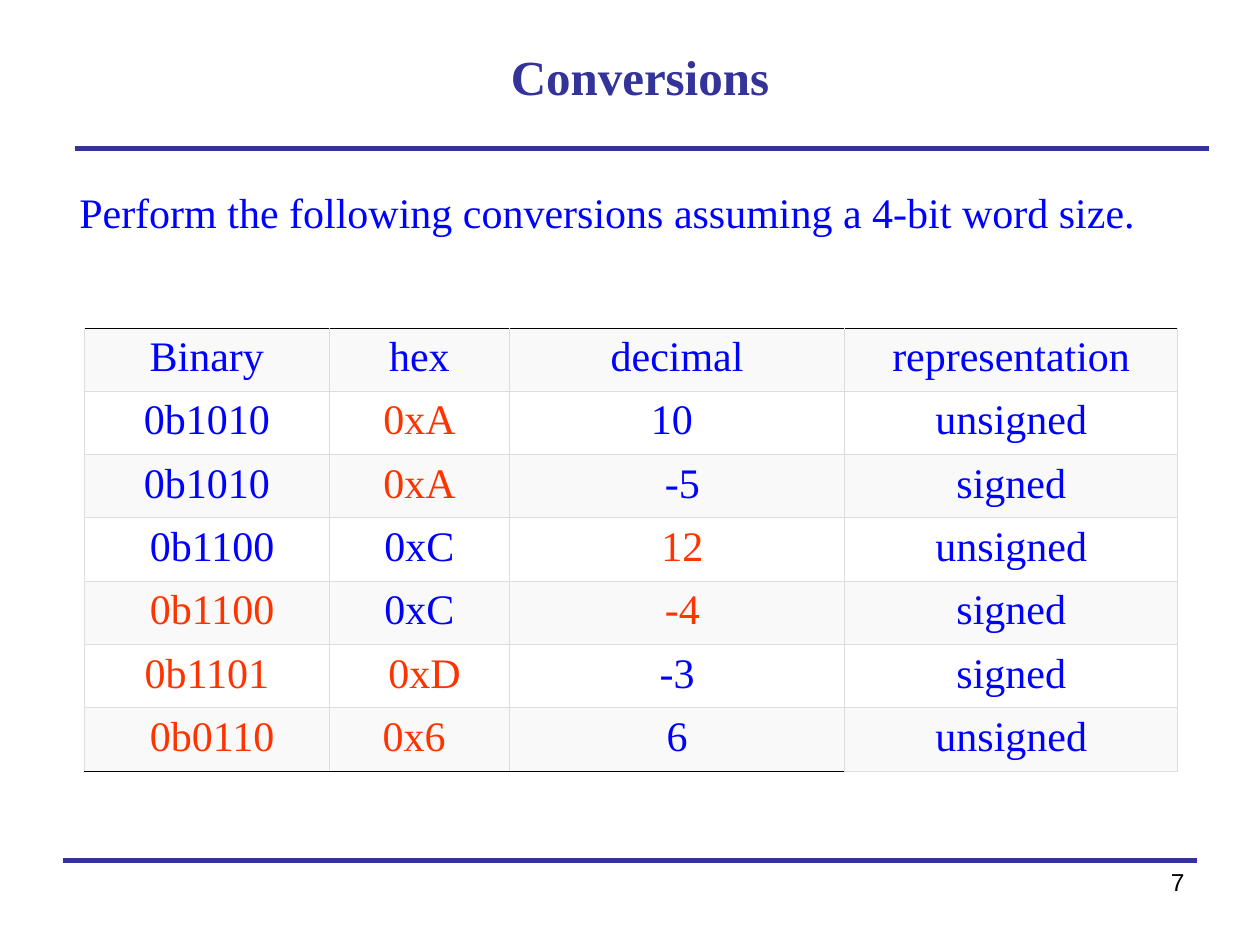
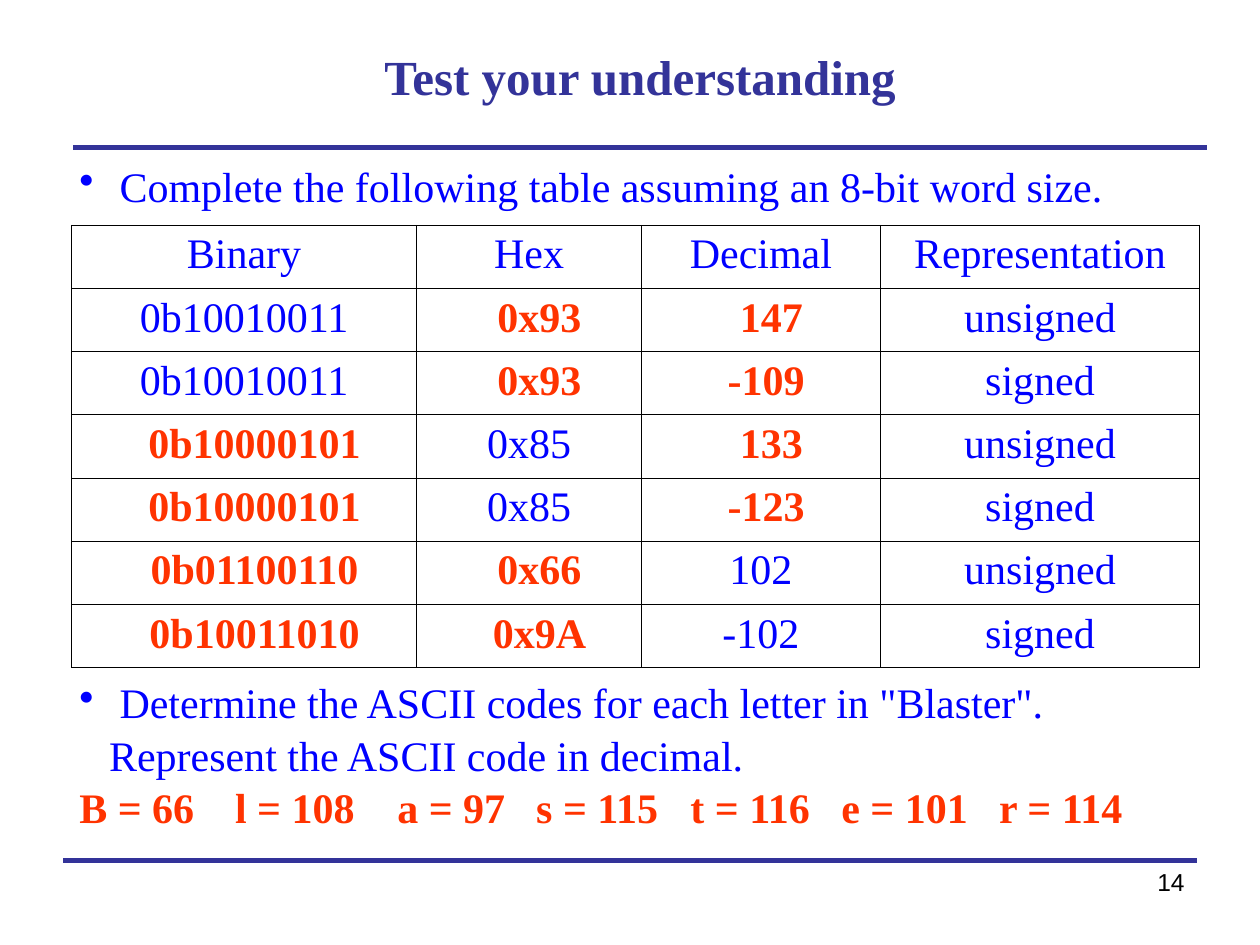
from collections import namedtuple

from lxml import etree
from pptx import Presentation
from pptx.dml.color import RGBColor
from pptx.enum import shapes, text
from pptx.oxml import ns
from pptx.util import Cm, Pt

INK = {"title": "333399", "body": "0000FF", "answer": "FF3300",
       "black": "000000", "white": "FFFFFF", "band": "F9F9F9", "grid": "DDDDDD"}
SERIF, SANS = "Times New Roman", "Arial"
SPACE = 0.21  # width of one 24 pt space, in cm
ALIGN = text.PP_ALIGN

Cell = namedtuple("Cell", "text ink shift bold")


def ask(label, shift=0):
    return Cell(label, "body", shift, False)


def ans(label, shift=0, bold=False):
    return Cell(label, "answer", shift, bold)


def key(label):
    """Bold answer, pushed right; a minus sign takes half the push."""
    return ans(label, 1 if label.startswith("-") else 2, True)


def rgb(ink):
    return RGBColor.from_string(INK[ink])


def add_xml(parent, tag, **attrs):
    return etree.SubElement(parent, ns.qn(tag), attrs)


def add_run(para, label, ink="body", size=24, bold=False, face=SERIF):
    run = para.add_run()
    run.text = label
    font = run.font
    font.name, font.size, font.bold = face, Pt(size), bold
    font.color.rgb = rgb(ink)


def add_box(slide, box, wrap=True, anchor=text.MSO_ANCHOR.MIDDLE):
    frame = slide.shapes.add_textbox(*map(Cm, box)).text_frame
    frame.word_wrap = wrap
    frame.vertical_anchor = anchor
    return frame


def add_rule(slide, left, top, width=22.86):
    line = slide.shapes.add_connector(
        shapes.MSO_CONNECTOR.STRAIGHT, Cm(left), Cm(top), Cm(left + width), Cm(top))
    line.line.color.rgb = rgb("title")
    line.line.width = Pt(3)
    add_xml(line.element.spPr, "a:effectLst")


def add_base(deck, title, page, left, top):
    """Title-only slide with its two rules and page number."""
    slide = deck.slides.add_slide(deck.slide_layouts[5])
    head = slide.shapes.title
    head.left, head.top, head.width, head.height = map(Cm, (1.47, 0.64, 22.86, 1.78))
    head.text_frame.vertical_anchor = text.MSO_ANCHOR.MIDDLE
    para = head.text_frame.paragraphs[0]
    para.alignment = ALIGN.CENTER
    add_run(para, title, "title", 28, True)
    add_rule(slide, left, top)
    add_rule(slide, 1.27, 17.35)
    foot = add_box(slide, (18.21, 17.35, 5.92, 1.32), anchor=text.MSO_ANCHOR.TOP)
    para = foot.paragraphs[0]
    para.alignment = ALIGN.RIGHT
    add_run(para, page, "black", 14, face=SANS)
    return slide


def add_bullet(para, label):
    props = para._p.get_or_add_pPr()
    props.set("marL", str(Cm(0.6)))
    props.set("indent", str(-Cm(0.6)))
    tint = add_xml(props, "a:buClr")
    add_xml(tint, "a:srgbClr", val=INK["body"])
    add_xml(props, "a:buChar", char="•")
    add_run(para, label)


def set_tabs(para, stops):
    tabs = add_xml(para._p.get_or_add_pPr(), "a:tabLst")
    for stop in stops:
        add_xml(tabs, "a:tab", pos=str(Cm(stop)), algn="l")


def set_edges(cell, inks):
    """Draw left, right, top and bottom borders, in that order."""
    props = cell._tc.get_or_add_tcPr()
    for side, ink in zip("LRTB", inks):
        edge = add_xml(props, "a:ln" + side, w=str(Pt(0.45)))
        add_xml(add_xml(edge, "a:solidFill"), "a:srgbClr", val=INK[ink])


def fill_cell(cell, item, fill, edges):
    cell.margin_left = Cm(0.25 + max(item.shift, 0) * SPACE)
    cell.margin_right = Cm(0.25 + max(-item.shift, 0) * SPACE)
    set_edges(cell, edges)
    cell.fill.solid()
    cell.fill.fore_color.rgb = rgb(fill)
    para = cell.text_frame.paragraphs[0]
    para.alignment = ALIGN.CENTER
    add_run(para, item.text, item.ink, bold=item.bold)


def add_grid(slide, left, top, widths, rows, fills, edges, height=1.275):
    """Table whose row fills alternate; edges(row, col) names border colours."""
    grid = slide.shapes.add_table(
        len(rows), len(widths), Cm(left), Cm(top),
        Cm(sum(widths)), Cm(height * len(rows))).table
    for col, width in zip(grid.columns, widths):
        col.width = Cm(width)
    for r, items in enumerate(rows):
        grid.rows[r].height = Cm(height)
        for c, item in enumerate(items):
            fill_cell(grid.cell(r, c), item, fills[r % 2], edges(r, c))


def heads(*labels):
    return [ask(label) for label in labels]


def add_words(deck):
    slide = add_base(deck, "Conversions", "7", 1.52, 3.0)
    lead = add_box(slide, (1.35, 3.63, 21.79, 1.27), wrap=False)
    add_run(lead.paragraphs[0],
            "Perform the following conversions assuming a 4-bit word size.")
    free, sign = ask("unsigned"), ask("signed")
    rows = [
        heads("Binary", "hex", "decimal", "representation"),
        [ask("0b1010"), ans("0xA"), ask("10", -1), free],
        [ask("0b1010"), ans("0xA"), ask("-5", 1), sign],
        [ask("0b1100", 1), ask("0xC"), ans("12", 1), free],
        [ans("0b1100", 1), ask("0xC"), ans("-4", 1), sign],
        [ans("0b1101"), ans("0xD", 1), ask("-3"), sign],
        [ans("0b0110", 1), ans("0x6", -1), ask("6"), free],
    ]

    def edges(r, c):
        above = "black" if r == 0 else "grid"
        below = "black" if r == len(rows) - 1 and c < 3 else "grid"
        return "grid", "grid", above, below

    add_grid(slide, 1.7, 6.61, (4.94, 3.63, 6.76, 6.71), rows,
             ("band", "white"), edges, 1.277)


def add_test(deck):
    slide = add_base(deck, "Test your understanding", "14", 1.48, 2.97)
    lead = add_box(slide, (1.35, 3.1, 23.65, 1.27))
    add_bullet(lead.paragraphs[0],
               " Complete the following table assuming an 8-bit word size.")
    free, sign = ask("unsigned"), ask("signed")
    rows = [
        heads("Binary", "Hex", "Decimal", "Representation"),
        [ask("0b10010011"), key("0x93"), key("147"), free],
        [ask("0b10010011"), key("0x93"), key("-109"), sign],
        [key("0b10000101"), ask("0x85"), key("133"), free],
        [key("0b10000101"), ask("0x85"), key("-123"), sign],
        [key("0b01100110"), key("0x66"), ask("102"), free],
        [key("0b10011010"), key("0x9A"), ask("-102"), sign],
    ]
    add_grid(slide, 1.44, 4.54, (6.96, 4.53, 4.82, 6.43), rows,
             ("white", "white"), lambda r, c: ["black"] * 4)

    task = add_box(slide, (1.35, 13.54, 23.04, 3.3))
    first, codes = task.paragraphs[0], task.add_paragraph()
    add_bullet(first, ' Determine the ASCII codes for each letter in "Blaster". '
                      "Represent the ASCII code in decimal.")
    set_tabs(codes, (3.14, 6.41, 9.21, 12.32, 15.36, 18.54))
    add_run(codes, "\t".join(f"{char} = {ord(char)}" for char in "Blaster"),
            "answer", bold=True)
    for para in task.paragraphs:
        para.line_spacing = 1.04


def main():
    deck = Presentation()
    deck.slide_width, deck.slide_height = Cm(25.4), Cm(19.05)
    add_words(deck)
    add_test(deck)
    deck.save("out.pptx")


if __name__ == "__main__":
    main()
